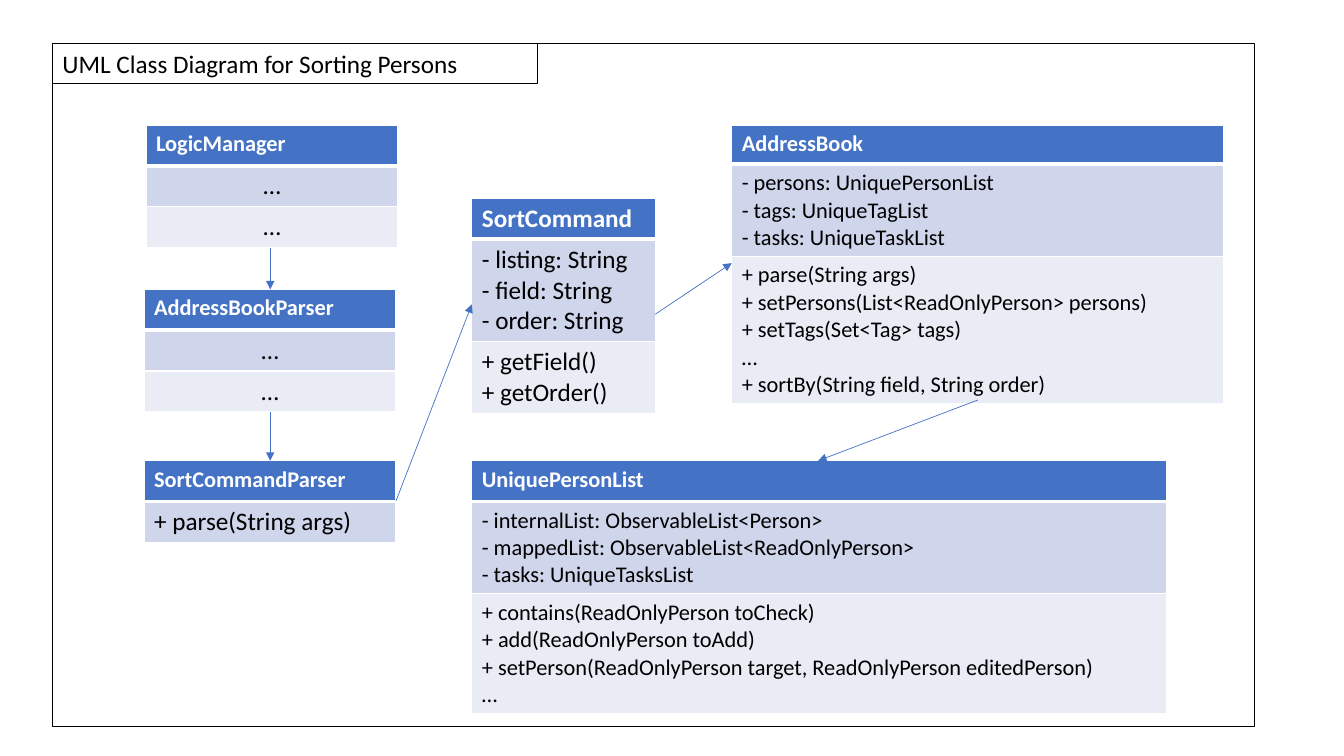
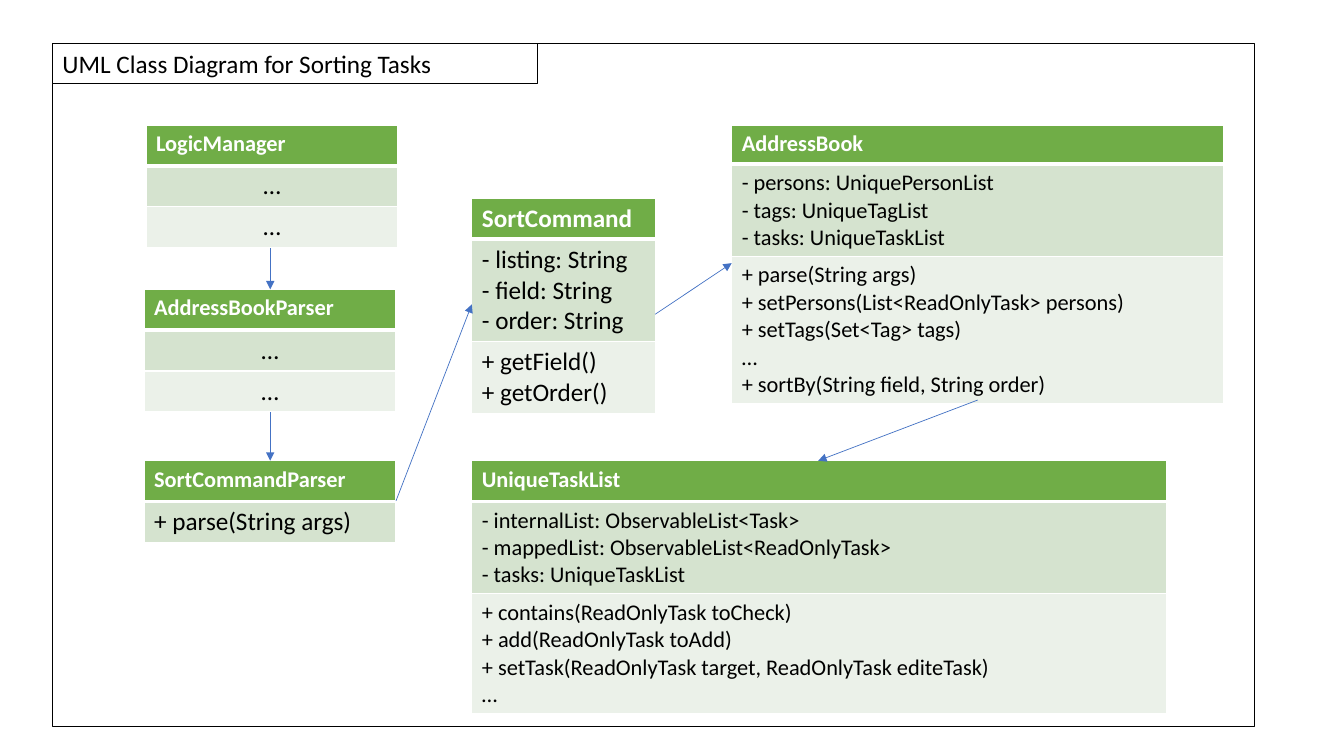
from lxml.etree import SubElement
from pptx import Presentation
from pptx.dml.color import RGBColor
from pptx.enum.shapes import MSO_CONNECTOR, MSO_SHAPE
from pptx.enum.text import MSO_ANCHOR, MSO_AUTO_SIZE, PP_ALIGN
from pptx.oxml.ns import qn
from pptx.util import Cm, Pt

FONT = "Calibri"
COLORS = {"white": "FFFFFF", "black": "000000", "arrow": "4472C4"}
BLUE = {"head": "4472C4", "fields": "CFD5EA", "methods": "E9EBF5"}
GREEN = {"head": "70AD47", "fields": "D5E3CF", "methods": "EBF1E9"}
DOTS = ["…"]
HEAD = 1.03  # usual height of a class name row, in cm
ARROWS = [
    (6.81, 6.25, 6.81, 7.29),
    (6.81, 10.39, 6.81, 11.61),
    (9.98, 12.62, 11.89, 7.67),
    (16.51, 7.92, 18.44, 6.63),
    (24.64, 10.08, 20.62, 11.61),
]


def rgb(name):
    return RGBColor.from_string(COLORS.get(name, name))


def paint(shape):
    """Give a shape the white fill and thin black outline."""
    shape.fill.solid()
    shape.fill.fore_color.rgb = rgb("white")
    shape.line.color.rgb = rgb("black")
    shape.line.width = Pt(1)


def style(par, size, color, align, bold=False):
    par.alignment = align
    font = par.font
    font.name, font.size, font.bold = FONT, Pt(size), bold
    font.color.rgb = rgb(color)


def add_frame(slide, text):
    """Draw the outer frame with the heading in its top left corner."""
    left, top = Cm(1.32), Cm(1.09)
    frame = slide.shapes.add_shape(MSO_SHAPE.RECTANGLE, left, top, Cm(30.3), Cm(17.22))
    frame.shadow.inherit = False
    paint(frame)

    title = slide.shapes.title
    title.element.addprevious(frame.element)
    title.left, title.top, title.width, title.height = left, top, Cm(12.22), Cm(1.02)
    paint(title)
    box = title.text_frame
    box.text = text
    box.auto_size = MSO_AUTO_SIZE.NONE
    box.vertical_anchor = MSO_ANCHOR.MIDDLE
    style(box.paragraphs[0], 18, "black", PP_ALIGN.LEFT)


def add_edges(cell, top, bottom):
    props = cell._tc.get_or_add_tcPr()
    for side, width in (("L", 1), ("R", 1), ("T", top), ("B", bottom)):
        edge = SubElement(props, qn("a:ln" + side), w=str(Pt(width)))
        fill = SubElement(edge, qn("a:solidFill"))
        SubElement(fill, qn("a:srgbClr"), val=COLORS["white"])


def fill_cell(cell, lines, size, fill, row):
    add_edges(cell, top=3 if row == 1 else 1, bottom=3 if row == 0 else 1)
    cell.fill.solid()
    cell.fill.fore_color.rgb = rgb(fill)
    cell.text = "\n".join(lines)
    align = PP_ALIGN.CENTER if lines == DOTS else PP_ALIGN.JUSTIFY
    color = "black" if row else "white"
    for par in cell.text_frame.paragraphs:
        style(par, size, color, align, bold=row == 0)


def add_class(slide, theme, name, left, top, width, parts, sizes=(16, 18), head=HEAD):
    """Draw a class table; sizes are for its name and its members."""
    rows = [[name], *parts]
    heights = [head] + [max(HEAD, 0.25 + 0.043 * sizes[1] * len(part)) for part in parts]
    table = slide.shapes.add_table(
        len(rows), 1, Cm(left), Cm(top), Cm(width), Cm(sum(heights))).table
    for row, (lines, high, fill) in enumerate(zip(rows, heights, theme.values())):
        table.rows[row].height = Cm(high)
        fill_cell(table.cell(row, 0), lines, sizes[min(row, 1)], fill, row)


def add_arrow(slide, x1, y1, x2, y2):
    arrow = slide.shapes.add_connector(
        MSO_CONNECTOR.STRAIGHT, Cm(x1), Cm(y1), Cm(x2), Cm(y2))
    arrow.line.color.rgb = rgb("arrow")
    arrow.line.width = Pt(0.5)
    SubElement(arrow.line._get_or_add_ln(), qn("a:tailEnd"), type="triangle")
    SubElement(arrow.element.spPr, qn("a:effectLst"))


def add_diagram(deck, theme, item, tasks, edited):
    """Add the slide that shows how items of one kind are sorted."""
    slide = deck.slides.add_slide(deck.slide_layouts[5])
    add_frame(slide, f"UML Class Diagram for Sorting {item}s")
    read = f"ReadOnly{item}"

    add_class(slide, theme, "SortCommand", 11.89, 5, 4.62, [
        ["- listing: String", "- field: String", "- order: String"],
        ["+ getField()", "+ getOrder()"],
    ], sizes=(18, 18))
    add_class(slide, theme, "SortCommandParser", 3.63, 11.61, 6.35,
              [["+ parse(String args)"]])
    add_class(slide, theme, "AddressBook", 18.44, 3.15, 12.4, [
        ["- persons: UniquePersonList", "- tags: UniqueTagList",
         "- tasks: UniqueTaskList"],
        ["+ parse(String args)", f"+ setPersons(List<{read}> persons)",
         "+ setTags(Set<Tag> tags)", "…", "+ sortBy(String field, String order)"],
    ], sizes=(16, 16), head=0.99)
    add_class(slide, theme, f"Unique{item}List", 11.89, 11.61, 17.5, [
        [f"- internalList: ObservableList<{item}>",
         f"- mappedList: ObservableList<{read}>", f"- tasks: {tasks}"],
        [f"+ contains({read} toCheck)", f"+ add({read} toAdd)",
         f"+ set{item}({read} target, {read} {edited})", "…"],
    ], sizes=(16, 16))
    add_class(slide, theme, "AddressBookParser", 3.63, 7.29, 6.35, [DOTS, DOTS])
    add_class(slide, theme, "LogicManager", 3.68, 3.15, 6.35, [DOTS, DOTS])

    for ends in ARROWS:
        add_arrow(slide, *ends)


def main():
    deck = Presentation()
    deck.slide_width, deck.slide_height = Cm(33.87), Cm(19.05)
    add_diagram(deck, BLUE, "Person", "UniqueTasksList", "editedPerson")
    add_diagram(deck, GREEN, "Task", "UniqueTaskList", "editeTask")
    deck.save("out.pptx")


if __name__ == "__main__":
    main()
